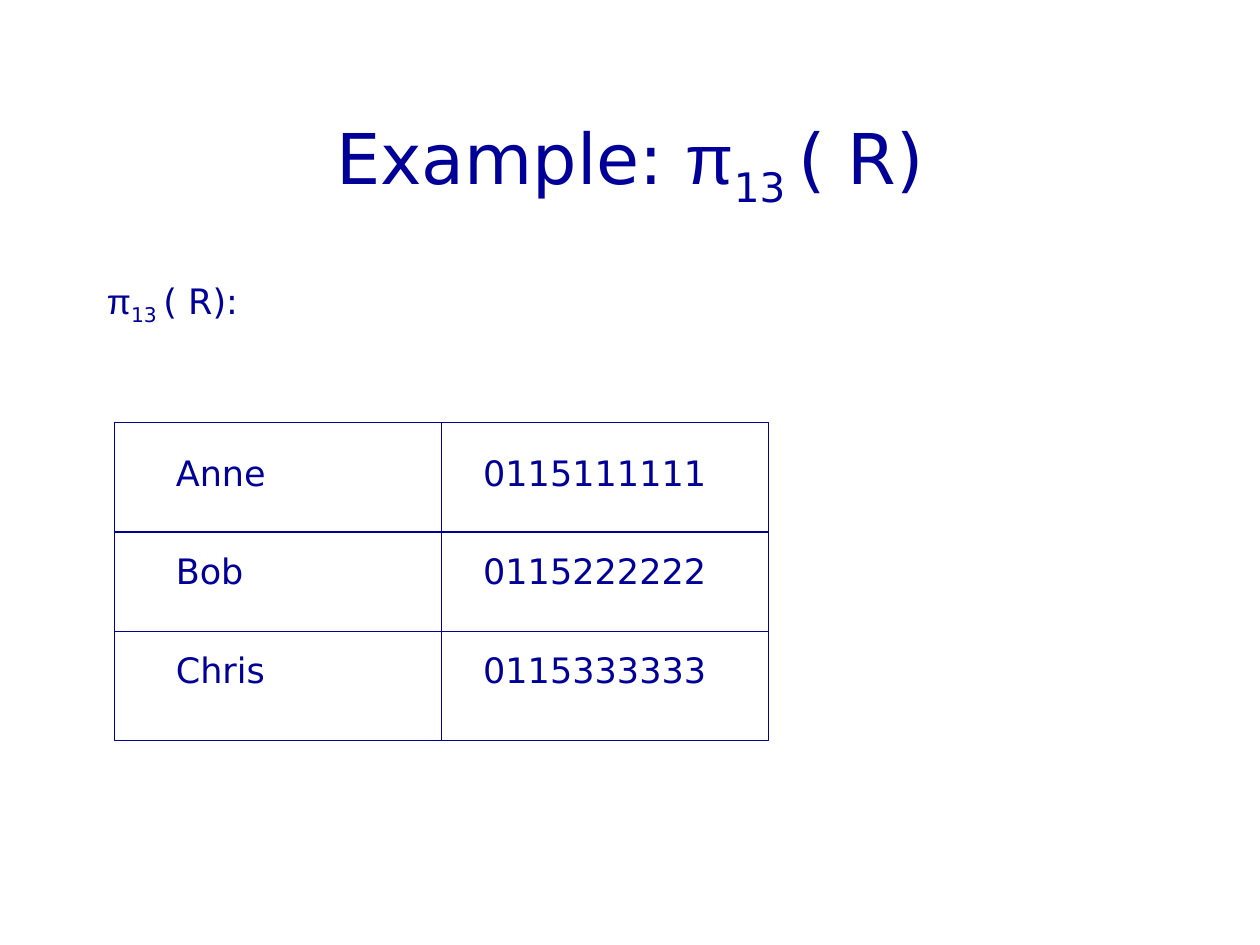
from lxml.etree import SubElement as Sub
from pptx import Presentation as Deck
from pptx.dml.color import RGBColor as Color
from pptx.enum.shapes import MSO_CONNECTOR as Link, MSO_SHAPE as Kind
from pptx.enum.text import MSO_ANCHOR as Anchor, PP_ALIGN as Align
from pptx.oxml.ns import qn
from pptx.util import Pt

HUES = {"ink": "000099", "paper": "FFFFFF"}
SANS = "DejaVu Sans"
TERM = [("π", "Arial", 0), ("13 ", SANS, -25)]


def write(frame, parts, size=20, align=Align.LEFT, hue="ink"):
    para = frame.paragraphs[0]
    para.alignment = align
    for text, face, shift in parts:
        run = para.add_run()
        run.text = text
        font = run.font
        font.name, font.size = face, Pt(size)
        font.color.rgb = Color.from_string(HUES[hue])
        if shift:
            run._r.get_or_add_rPr().set("baseline", str(shift * 1000))


class Page:
    def __init__(self, deck, rule=0.75):
        self.slide = deck.slides.add_slide(deck.slide_layouts[6])
        self.rule = rule

    def text(self, left, top, width, height, parts,
             anchor=Anchor.TOP, inset=3.6, **style):
        box = self.slide.shapes.add_textbox(Pt(left), Pt(top), Pt(width), Pt(height))
        frame = box.text_frame
        frame.word_wrap = True
        frame.vertical_anchor = anchor
        frame.margin_top = Pt(inset)
        write(frame, parts, **style)

    def stroke(self, line):
        line.width = Pt(self.rule)
        line.color.rgb = Color.from_string(HUES["ink"])

    def rect(self, left, top, width, height):
        shape = self.slide.shapes.add_shape(
            Kind.RECTANGLE, Pt(left), Pt(top), Pt(width), Pt(height))
        shape.shadow.inherit = False
        shape.fill.solid()
        shape.fill.fore_color.rgb = Color.from_string(HUES["paper"])
        self.stroke(shape.line)
        return shape

    def line(self, left, top, right, low):
        link = self.slide.shapes.add_connector(
            Link.STRAIGHT, Pt(left), Pt(top), Pt(right), Pt(low))
        self.stroke(link.line)
        Sub(link._element.spPr, qn("a:effectLst"))
        return link


def main():
    deck = Deck()
    deck.slide_width, deck.slide_height = Pt(720), Pt(540)
    page = Page(deck)
    page.text(54, 48, 612, 90, [("Example: ", SANS, 0), *TERM, ("( R)", SANS, 0)],
              anchor=Anchor.MIDDLE, size=40, align=Align.CENTER)
    page.text(54, 156, 612, 324, [*TERM, ("( R):", SANS, 0)])

    left, top, width, height = 65.4, 241.6, 374, 181.6
    mid = left + width / 2
    frame = page.rect(left, top, width, height)
    split = page.line(mid, top, mid, top + height)
    split.begin_connect(frame, 0)
    split.end_connect(frame, 2)
    for y in (360.8, 304):
        page.line(left, y, left + width, y)

    tops = (252.5, 308.3, 365)
    cols = [(93.4, 130.5, ("Anne", "Bob", "Chris")),
            (269, 170, ("0115111111", "0115222222", "0115333333"))]
    for x, wide, names in cols:
        for y, name in zip(tops, names):
            page.text(x, y, wide, 31.6, [(name, SANS, 0)], inset=5.5)
    deck.save("out.pptx")


if __name__ == "__main__":
    main()
